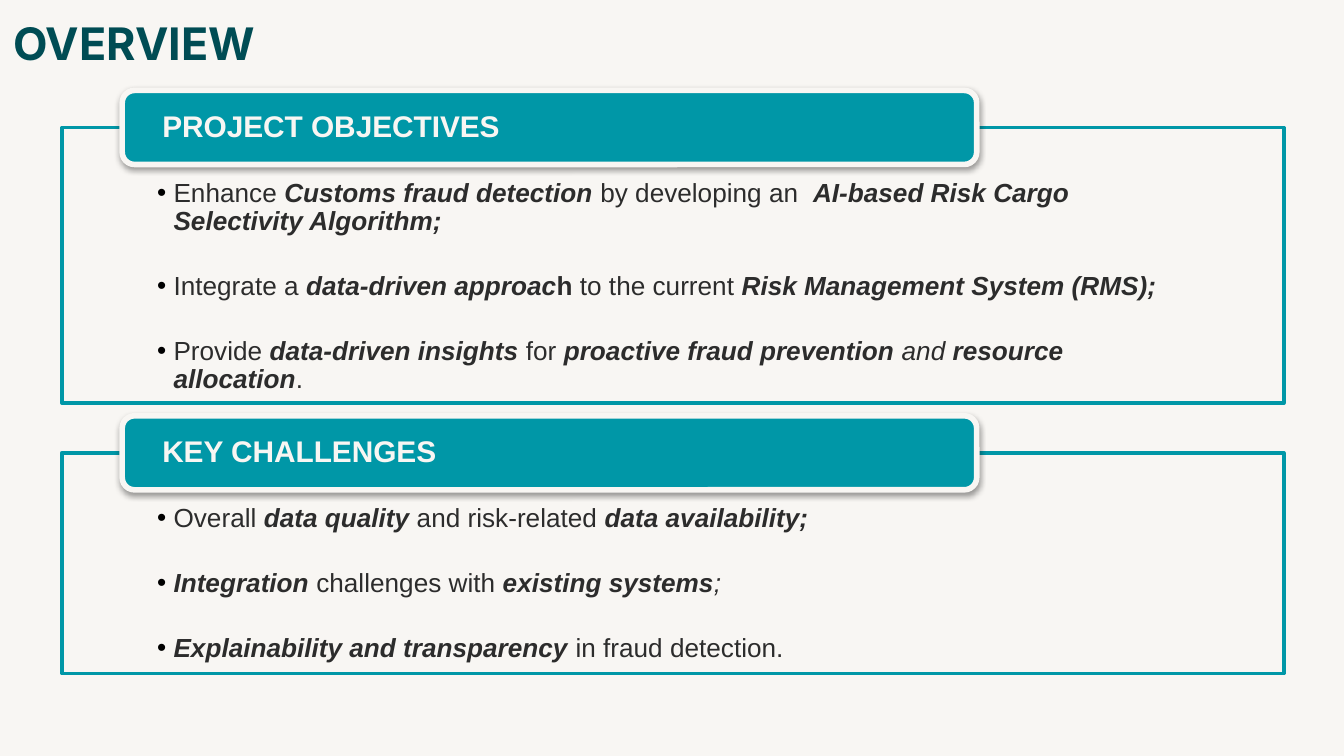
from dataclasses import dataclass
from typing import NamedTuple

import lxml.etree
import pptx
import pptx.dml.color
import pptx.enum.shapes
import pptx.enum.text
import pptx.oxml.ns
import pptx.util

Cm = pptx.util.Cm
Pt = pptx.util.Pt
qn = pptx.oxml.ns.qn


@dataclass(frozen=True)
class Theme:
    paper: str = "F8F6F3"
    accent: str = "0097A7"
    heading: str = "004C54"
    ink: str = "2C2C2C"
    black: str = "000000"
    heading_font: str = "Inter"
    text_font: str = "Arial"
    heading_size: int = 24
    banner_size: int = 16
    text_size: int = 14


class Span(NamedTuple):
    text: str
    bold: bool = False
    italic: bool = False


@dataclass(frozen=True)
class Section:
    heading: str
    top: float
    height: float
    bullets: list[list[Span]]


def strong(text: str) -> Span:
    return Span(text, bold=True, italic=True)


THEME = Theme()
SECTIONS = [
    Section("PROJECT OBJECTIVES", 2.41, 5.21, [
        [Span("Enhance "), strong("Customs fraud detection "), Span("by developing an  "),
         strong("AI-based Risk Cargo Selectivity Algorithm;")],
        [Span("Integrate a "), strong("data-driven approac"), Span("h ", bold=True),
         Span("to the current "), strong("Risk Management System (RMS);")],
        [Span("Provide "), strong("data-driven insights"), Span(" for "),
         strong("proactive fraud prevention "), Span("and ", italic=True),
         strong("resource allocation"), Span(".")],
    ]),
    Section("KEY CHALLENGES", 8.56, 4.17, [
        [Span("Overall "), strong("data quality "), Span("and risk-related "),
         strong("data availability;")],
        [strong("Integration "), Span("challenges with "), strong("existing systems"),
         Span(";", italic=True)],
        [strong("Explainability and transparency "), Span("in fraud detection.")],
    ]),
]


def rgb(value: str) -> pptx.dml.color.RGBColor:
    return pptx.dml.color.RGBColor.from_string(value)


def add_span(para, text: str, *, font: str, size: int, color: str,
             bold: bool = False, italic: bool = False) -> None:
    span = para.add_run()
    span.text = text
    span.font.name = font
    span.font.size = Pt(size)
    span.font.color.rgb = rgb(color)
    span.font.bold = bold
    span.font.italic = italic


def place(box, left: float, top: float, width: float, height: float) -> None:
    box.left, box.top, box.width, box.height = map(Cm, (left, top, width, height))


def set_frame(box, insets: tuple[float, float, float, float], anchor) -> None:
    frame = box.text_frame
    frame.word_wrap = True
    frame.auto_size = pptx.enum.text.MSO_AUTO_SIZE.NONE
    frame.vertical_anchor = anchor
    (frame.margin_left, frame.margin_top,
     frame.margin_right, frame.margin_bottom) = map(Cm, insets)


def paint(box, fill: str, line: str, width: float) -> None:
    box.fill.solid()
    box.fill.fore_color.rgb = rgb(fill)
    box.line.color.rgb = rgb(line)
    box.line.width = Pt(width)


def add_color(parent, value: str, opacity: int = 100) -> None:
    color = lxml.etree.SubElement(parent, qn("a:srgbClr"), val=value)
    if opacity < 100:
        lxml.etree.SubElement(color, qn("a:alpha"), val=str(opacity * 1000))


def add_bullet(para, indent: float, color: str) -> None:
    properties = para._p.get_or_add_pPr()
    properties.set("marL", str(Cm(indent)))
    properties.set("indent", str(-Cm(indent)))
    add_color(lxml.etree.SubElement(properties, qn("a:buClr")), color)
    lxml.etree.SubElement(properties, qn("a:buChar"), char="•")


def add_shadow(box) -> None:
    box.shadow.inherit = False
    effects = box._element.spPr.find(qn("a:effectLst"))
    shadow = lxml.etree.SubElement(
        effects, qn("a:outerShdw"), blurRad=str(Pt(3.1)), dist=str(Pt(1.6)),
        dir="5400000", rotWithShape="0")
    add_color(shadow, THEME.black, 38)


def fill_title(box) -> None:
    place(box, 0, 0, 23.67, 1.6)
    set_frame(box, (0.25, 0.25, 0.25, 0.25), pptx.enum.text.MSO_ANCHOR.MIDDLE)
    para = box.text_frame.paragraphs[0]
    para.alignment = pptx.enum.text.PP_ALIGN.LEFT
    add_span(para, "OVERVIEW", font=THEME.heading_font, size=THEME.heading_size,
             color=THEME.heading, bold=True)


def fill_body(box, section: Section) -> None:
    place(box, 1.17, section.top, 23.09, section.height)
    set_frame(box, (1.8, 0.99, 1.8, 0.28), pptx.enum.text.MSO_ANCHOR.TOP)
    paint(box, THEME.paper, THEME.accent, 2)
    frame = box.text_frame
    for index, bullet in enumerate(section.bullets):
        para = frame.add_paragraph() if index else frame.paragraphs[0]
        para.level = 1
        para.line_spacing = 0.9
        para.space_before = Pt(19.5 if index else 0)
        para.space_after = Pt(0)
        add_bullet(para, 0.31, THEME.black)
        for span in bullet:
            add_span(para, span.text, font=THEME.text_font, size=THEME.text_size,
                     color=THEME.ink, bold=span.bold, italic=span.italic)


def add_banner(page, section: Section) -> None:
    box = page.shapes.add_shape(
        pptx.enum.shapes.MSO_SHAPE.ROUNDED_RECTANGLE,
        Cm(2.31), Cm(section.top - 0.7), Cm(16.15), Cm(1.4))
    paint(box, THEME.accent, THEME.paper, 3)
    add_shadow(box)
    set_frame(box, (0.69, 0, 0.69, 0), pptx.enum.text.MSO_ANCHOR.MIDDLE)
    para = box.text_frame.paragraphs[0]
    para.alignment = pptx.enum.text.PP_ALIGN.LEFT
    para.line_spacing = 0.9
    add_span(para, section.heading, font=THEME.text_font, size=THEME.banner_size,
             color=THEME.paper, bold=True)


def main() -> None:
    deck = pptx.Presentation()
    deck.slide_width, deck.slide_height = Cm(25.4), Cm(14.29)
    page = deck.slides.add_slide(deck.slide_layouts.get_by_name("Two Content"))
    page.background.fill.solid()
    page.background.fill.fore_color.rgb = rgb(THEME.paper)
    title, *bodies = page.placeholders
    fill_title(title)
    for body, section in zip(bodies, SECTIONS):
        fill_body(body, section)
        add_banner(page, section)
    deck.save("out.pptx")


if __name__ == "__main__":
    main()
